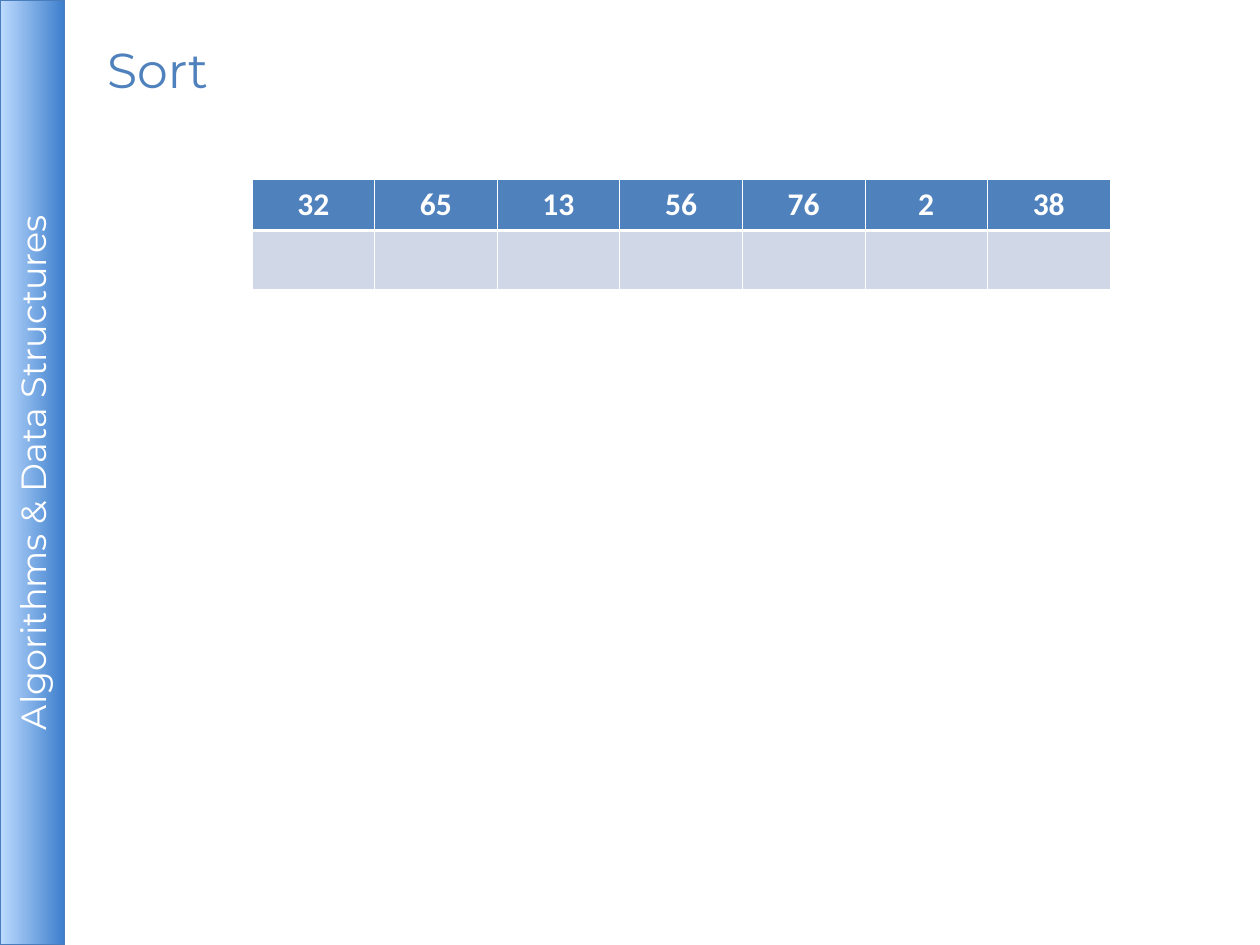
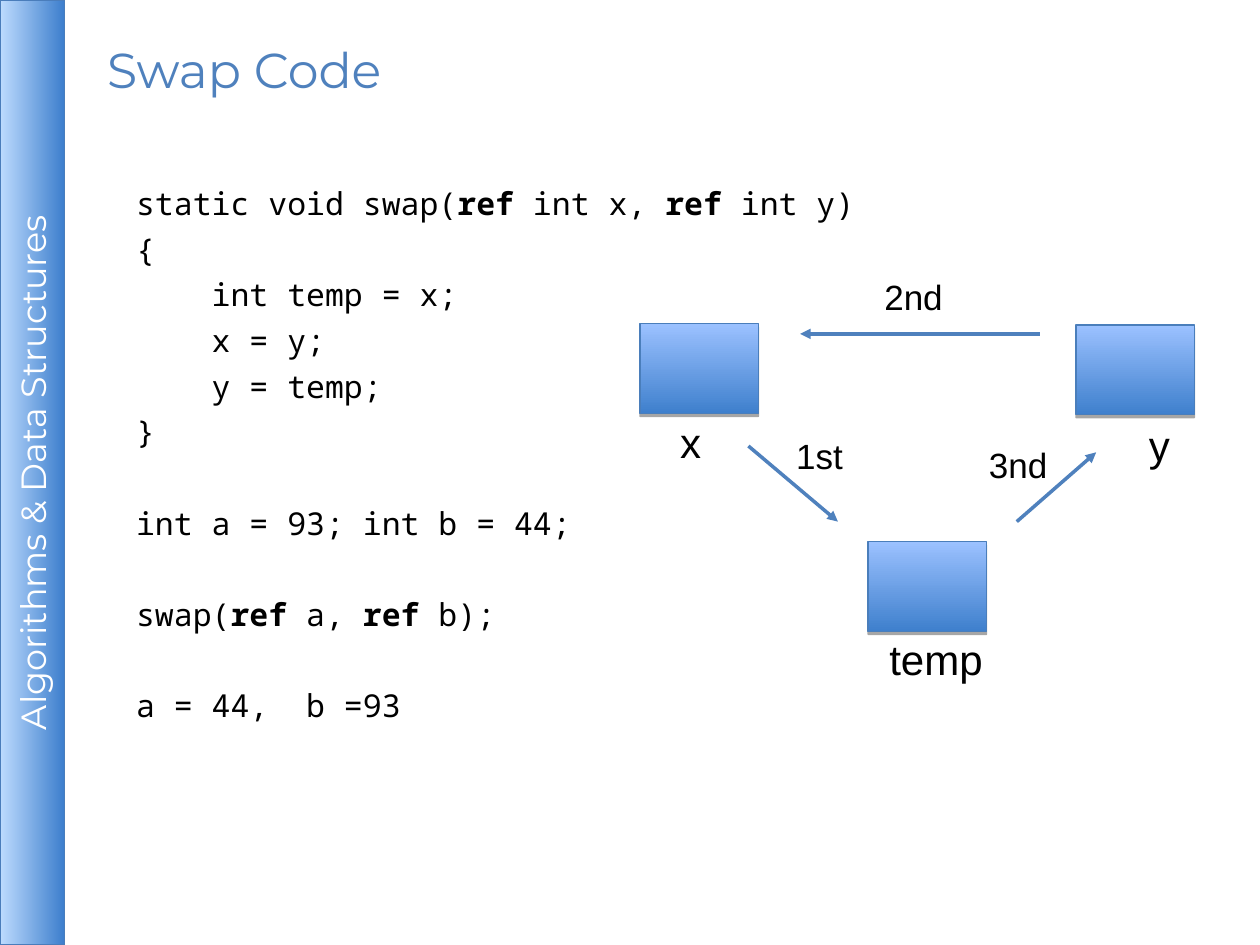
from lxml.etree import SubElement
from pptx import Presentation
from pptx.dml.color import RGBColor
from pptx.enum.shapes import MSO_CONNECTOR as Connector, MSO_SHAPE as Shape
from pptx.enum.text import MSO_ANCHOR as Anchor, MSO_AUTO_SIZE as AutoSize, PP_ALIGN as Align
from pptx.oxml.ns import qn
from pptx.util import Inches, Pt

# Content
COURSE = "Algorithms & Data Structures"
NUMBERS = [32, 65, 13, 56, 76, 2, 38]

# Each block is a list of (indent level, line); words between * are bold
CODE_BLOCKS = [
    [(0, "static void swap(*ref* int x, *ref* int y)"),
     (0, "{"),
     (1, "int temp = x;"),
     (1, "x = y;"),
     (1, "y = temp;"),
     (0, "}")],
    [(0, "int a = 93; int b = 44;")],
    [(0, "swap(*ref* a, *ref* b);")],
    [(0, "a = 44,  b =93")],
]

# Variable: box corner, label corner, label width
VARIABLES = {
    "x": ((5.08, 2.57), (5.3, 3.26), 0.29),
    "temp": ((6.89, 4.3), (6.96, 4.98), 1.43),
    "y": ((8.54, 2.58), (9.02, 3.28), 0.33),
}
# Step: arrow start, arrow end, label corner, label width
STEPS = {
    "1st": ((5.94, 3.54), (6.65, 4.14), (6.22, 3.4), 0.57),
    "2nd": ((8.25, 2.65), (6.35, 2.65), (6.92, 2.14), 0.66),
    "3nd": ((8.07, 4.14), (8.7, 3.59), (7.75, 3.47), 0.66),
}

# Shared style
WIDTH, HEIGHT = 10, 7.5
BLUE, WHITE, BLACK = "4F81BD", "FFFFFF", "000000"
PALE_ROW = "D0D8E8"
HEADING_FONT, CODE_FONT, TABLE_FONT, LABEL_FONT = "Montserrat", "Noto Sans Mono", "Calibri", "Arial"
BAND_WIDTH = 0.51
VARIABLE_BOX = (0.94, 0.71)
CODE_INDENT = 0.6
LINE_GAP, BLOCK_GAP = 4.5, 30.5
TABLE_WIDTH, ROW_HEIGHTS = 6.81, (0.41, 0.47)
THIN, THICK = 0.45, 1.47


def color(hex_text):
    return RGBColor.from_string(hex_text)


def place(shape, left, top, width, height):
    shape.left, shape.top = Inches(left), Inches(top)
    shape.width, shape.height = Inches(width), Inches(height)


def style(para, font, size, hex_text):
    for span in para.runs:
        span.font.name, span.font.size = font, Pt(size)
        span.font.color.rgb = color(hex_text)


def add_gradient_box(page, area, top_color, bottom_color, line_color, shadow_color):
    box = page.shapes.add_shape(Shape.RECTANGLE, *map(Inches, area))
    box.fill.gradient()
    box.fill.gradient_angle = 270
    for stop, hex_text in zip(box.fill.gradient_stops, (top_color, bottom_color)):
        stop.color.rgb = color(hex_text)
    box.line.color.rgb, box.line.width = color(line_color), Pt(0.75)
    # Soft shadow just below the box
    box.shadow.inherit = False
    effects = box.element.spPr.find(qn("a:effectLst"))
    shadow = SubElement(effects, qn("a:outerShdw"), blurRad="0", dist=str(Pt(1.8)),
                        dir="5400000", rotWithShape="0")
    tint = SubElement(shadow, qn("a:srgbClr"), val=shadow_color)
    SubElement(tint, qn("a:alpha"), val="35000")
    return box


def add_page(deck, layout_index, title):
    page = deck.slides.add_slide(deck.slide_layouts[layout_index])

    # Side band, turned to read upwards
    area = ((BAND_WIDTH - HEIGHT) / 2, (HEIGHT - BAND_WIDTH) / 2, HEIGHT, BAND_WIDTH)
    band = add_gradient_box(page, area, "BDDBFE", "3E7FCD", "4A7DBB", "EEECE1")
    band.rotation = 270
    frame = band.text_frame
    frame.text = COURSE
    frame.vertical_anchor = Anchor.MIDDLE
    frame.margin_left = frame.margin_right = frame.margin_top = frame.margin_bottom = Inches(0.04)
    frame.paragraphs[0].alignment = Align.CENTER
    style(frame.paragraphs[0], HEADING_FONT, 20, WHITE)

    # Title
    heading = page.shapes.title
    place(heading, 0.75, 0.16, 7.5, 0.78)
    heading.text_frame.text = title
    heading.text_frame.vertical_anchor = Anchor.MIDDLE
    heading.text_frame.paragraphs[0].alignment = Align.LEFT
    style(heading.text_frame.paragraphs[0], HEADING_FONT, 28, BLUE)
    return page


def add_borders(cell, widths):
    properties = cell._tc.get_or_add_tcPr()
    for side, width in widths.items():
        line = SubElement(properties, qn("a:ln" + side), w=str(Pt(width)))
        SubElement(SubElement(line, qn("a:solidFill")), qn("a:srgbClr"), val=WHITE)


def add_number_table(page):
    table = page.shapes.add_table(2, len(NUMBERS), Inches(2), Inches(1.42),
                                  Inches(TABLE_WIDTH), Inches(sum(ROW_HEIGHTS))).table
    for column in table.columns:
        column.width = Inches(TABLE_WIDTH / len(NUMBERS))
    for row, height in zip(table.rows, ROW_HEIGHTS):
        row.height = Inches(height)
    for index, number in enumerate(NUMBERS):
        top, bottom = table.cell(0, index), table.cell(1, index)
        add_borders(top, {"L": THIN, "R": THIN, "T": THIN, "B": THICK})
        add_borders(bottom, {"L": THIN, "R": THIN, "T": THICK, "B": THIN})
        for cell, hex_text in ((top, BLUE), (bottom, PALE_ROW)):
            cell.fill.solid()
            cell.fill.fore_color.rgb = color(hex_text)
        para = top.text_frame.paragraphs[0]
        para.text = str(number)
        para.alignment = Align.CENTER
        style(para, TABLE_FONT, 18, WHITE)
        para.runs[0].font.bold = True


def add_code(page):
    body = page.placeholders[1]
    place(body, 0.98, 1.41, 8.27, 4.95)
    frame = body.text_frame
    frame.auto_size = AutoSize.NONE
    lines = [(level, text, BLOCK_GAP if block and not row else LINE_GAP)
             for block, block_lines in enumerate(CODE_BLOCKS)
             for row, (level, text) in enumerate(block_lines)]
    for index, (level, text, gap) in enumerate(lines):
        para = frame.add_paragraph() if index else frame.paragraphs[0]
        para.space_before = Pt(gap)
        properties = para._p.get_or_add_pPr()
        properties.set("marL", str(Inches(CODE_INDENT * level)))
        properties.set("indent", "0")
        SubElement(properties, qn("a:buNone"))
        for part, words in enumerate(text.split("*")):
            span = para.add_run()
            span.text = words
            span.font.bold = part % 2 == 1
        style(para, CODE_FONT, 18, BLACK)


def add_label(page, text, corner, width, height, size):
    label = page.shapes.add_textbox(*map(Inches, (*corner, width, height)))
    frame = label.text_frame
    frame.text = text
    frame.word_wrap = True
    frame.margin_right = 0  # leaves room to keep the label on one line
    style(frame.paragraphs[0], LABEL_FONT, size, BLACK)


def add_arrow(page, start, end):
    arrow = page.shapes.add_connector(Connector.STRAIGHT, *map(Inches, (*start, *end)))
    arrow.line.color.rgb, arrow.line.width = color(BLUE), Pt(2)
    properties = arrow.element.spPr
    SubElement(properties.find(qn("a:ln")), qn("a:tailEnd"), type="triangle")
    SubElement(properties, qn("a:effectLst"))


def add_swap_diagram(page):
    for name, (box_corner, label_corner, width) in VARIABLES.items():
        add_gradient_box(page, (*box_corner, *VARIABLE_BOX), "9BC1FF", "3F80CD", "4A7EBB", BLACK)
        add_label(page, name, label_corner, width, 0.5, 24)
    for name, (start, end, label_corner, width) in STEPS.items():
        add_arrow(page, start, end)
        add_label(page, name, label_corner, width, 0.44, 20)


def main():
    deck = Presentation()
    deck.slide_width, deck.slide_height = Inches(WIDTH), Inches(HEIGHT)

    add_number_table(add_page(deck, 5, "Sort"))

    swap_page = add_page(deck, 1, "Swap Code")
    add_code(swap_page)
    add_swap_diagram(swap_page)

    deck.save("out.pptx")


if __name__ == "__main__":
    main()
